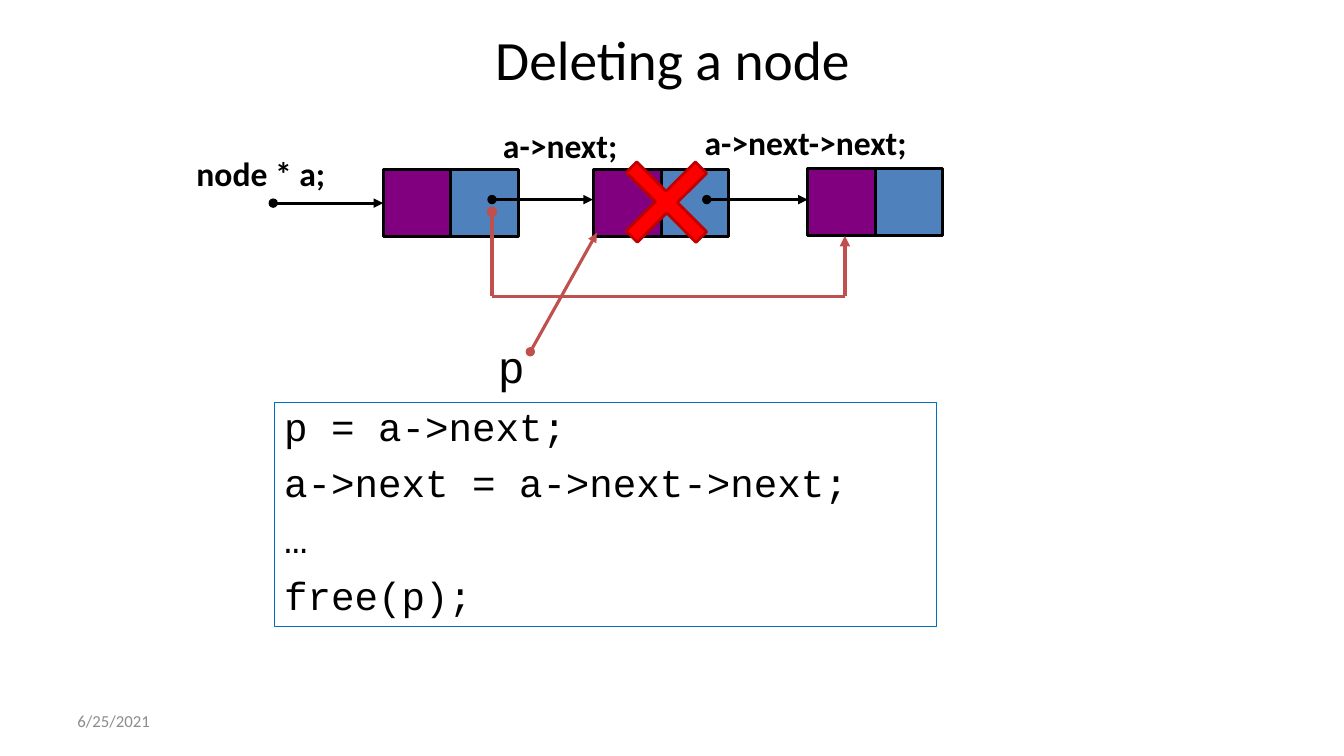
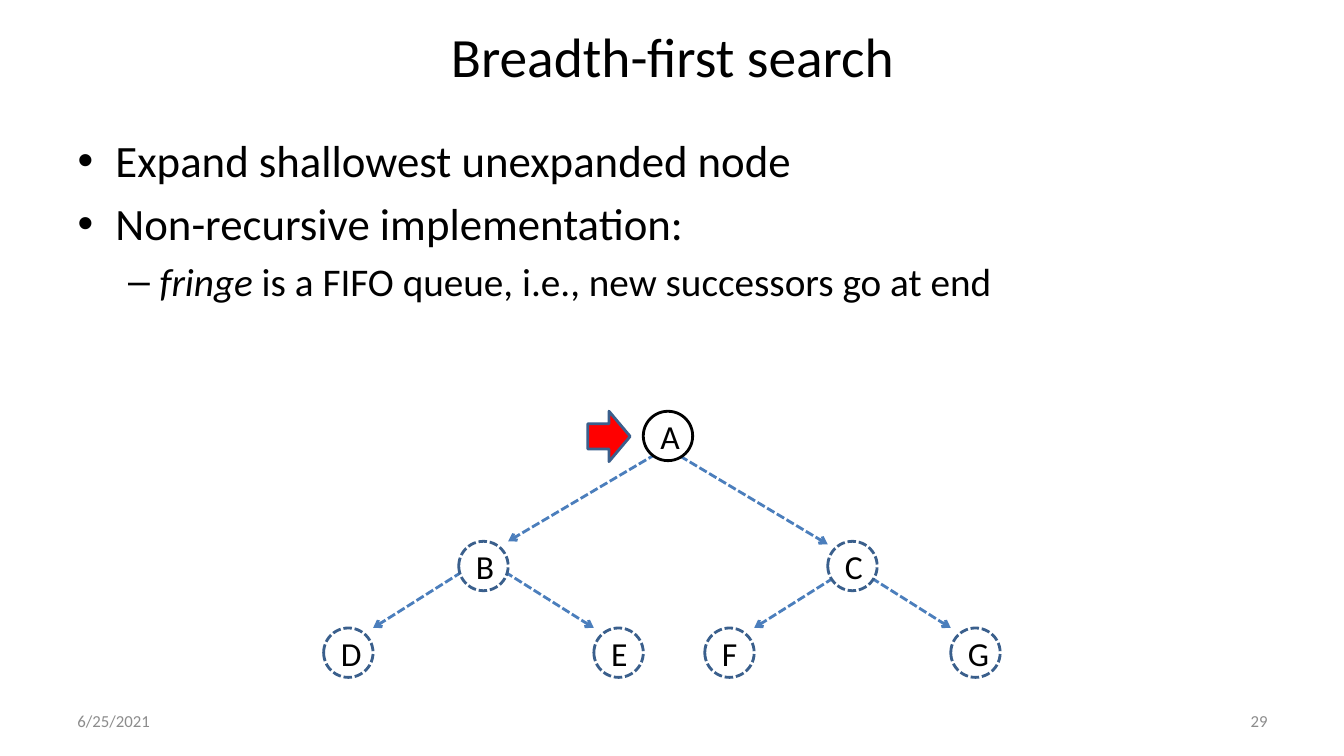
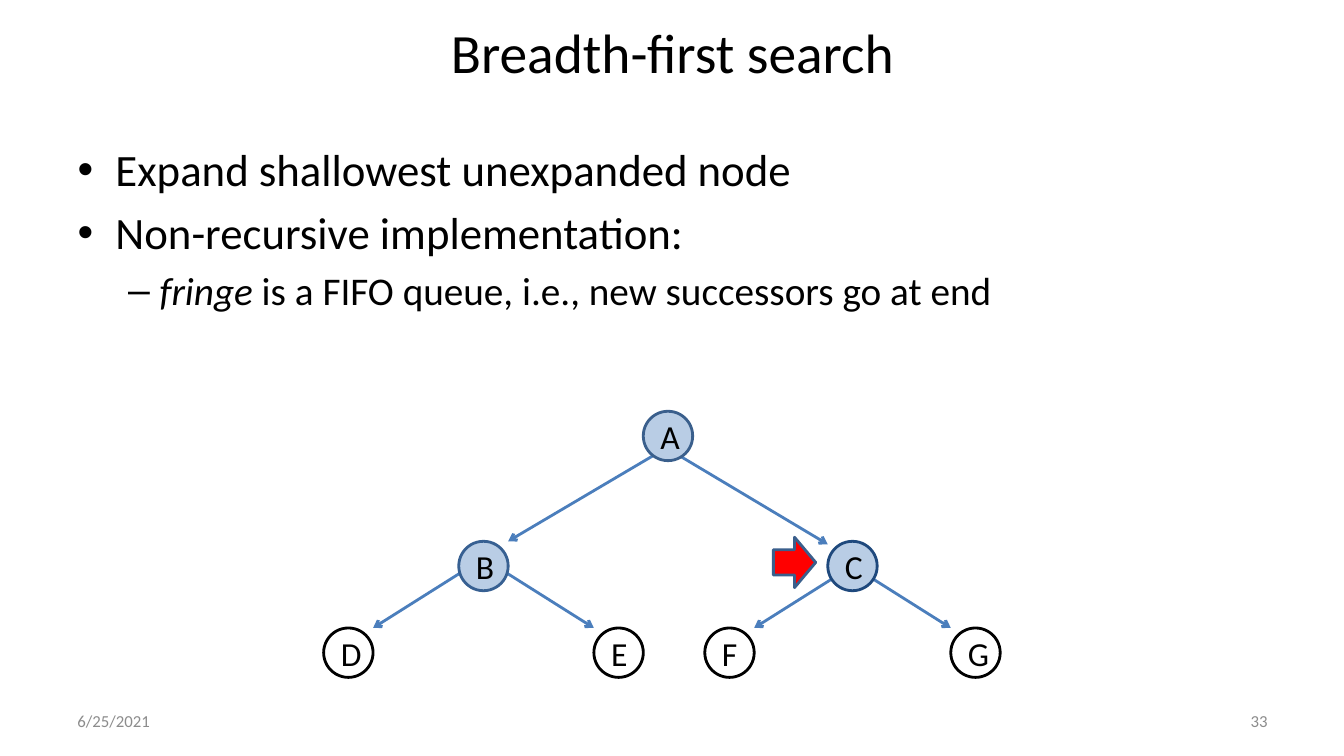
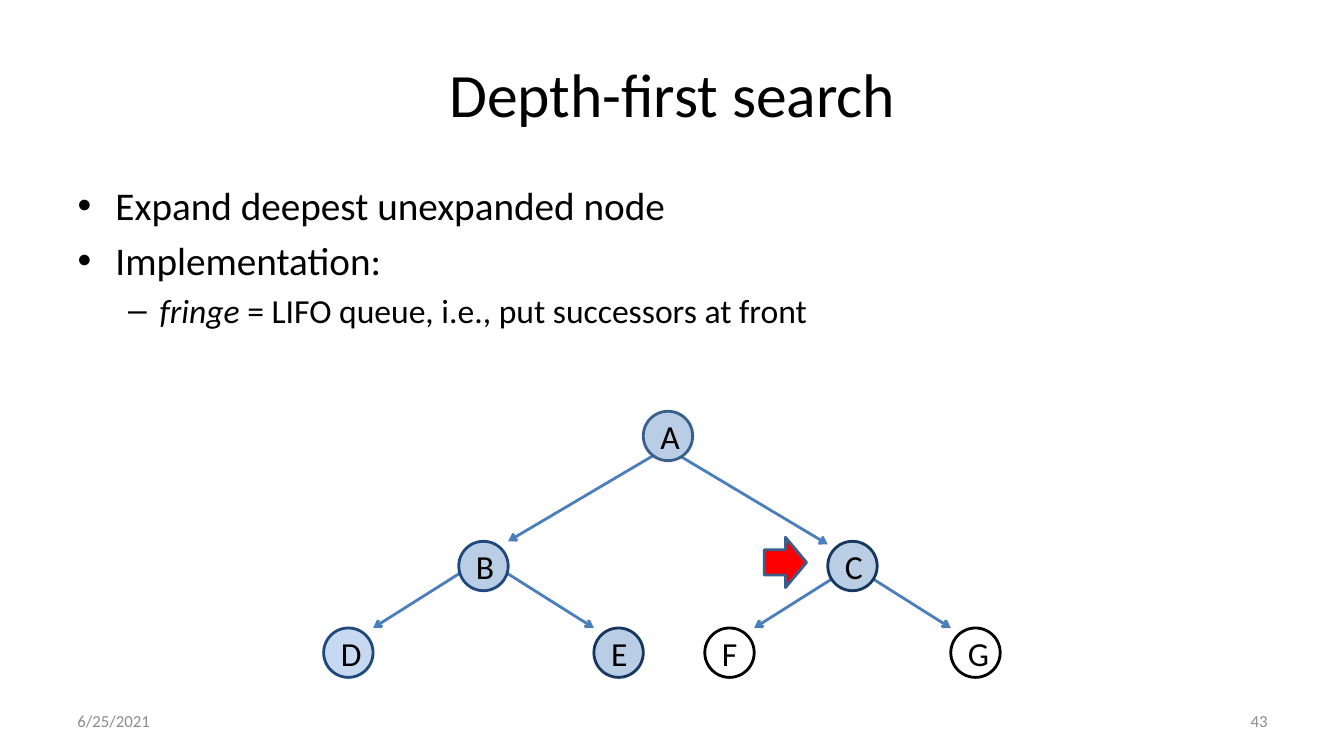
from lxml import etree
from pptx import Presentation
from pptx.dml.color import RGBColor
from pptx.enum.dml import MSO_LINE
from pptx.enum.shapes import MSO_CONNECTOR, MSO_SHAPE
from pptx.enum.text import MSO_ANCHOR, MSO_AUTO_SIZE, PP_ALIGN
from pptx.oxml.ns import qn
from pptx.util import Inches, Pt

STRAIGHT = MSO_CONNECTOR.STRAIGHT
RECTANGLE, OVAL = MSO_SHAPE.RECTANGLE, MSO_SHAPE.OVAL
CROSS, RIGHT_ARROW = MSO_SHAPE.CROSS, MSO_SHAPE.RIGHT_ARROW
LEFT, CENTER, RIGHT = PP_ALIGN.LEFT, PP_ALIGN.CENTER, PP_ALIGN.RIGHT
TOP, MIDDLE = MSO_ANCHOR.TOP, MSO_ANCHOR.MIDDLE
NO_AUTOFIT = MSO_AUTO_SIZE.NONE
DASHED = MSO_LINE.SQUARE_DOT
LEFT_SIDE = 1

COLORS = {
    "black": "000000",
    "white": "FFFFFF",
    "footer": "8C8C8C",
    "data": "800080",
    "pointer": "4F81BD",
    "new_link": "C0504D",
    "red": "FF0000",
    "dark_red": "C00000",
    "code_border": "0070C0",
    "edge": "4B7EBC",
    "outline": "3A5F8C",
    "blue_outline": "376092",
    "navy": "1F497D",
    "deep_navy": "17375E",
    "visited": "B9CDE5",
    "visited_light": "C6D9F1",
}
SANS, MONO = "Calibri", "Courier New"
DATE = "6/25/2021"
FOOTER_TOP, FOOTER_WIDTH, FOOTER_HEIGHT = 6.95, 3.11, 0.4

# Tree geometry, measured from the top left corner of the tree.
TREE_LEFT, TREE_TOP = 3.21, 4.08
NODE_SIZE = 0.49
NODE_PLACES = {
    "A": (3.17, 0), "B": (1.34, 1.29), "C": (5, 1.29),
    "D": (0, 2.15), "E": (2.68, 2.15), "F": (3.78, 2.15), "G": (6.22, 2.15),
}
# Parent, child, start offset from the parent's centre, drop of the end.
EDGES = (
    ("A", "B", -0.12, 0.18, 0), ("A", "C", 0.12, 0.2, 0.03),
    ("B", "D", -0.12, 0, 0), ("B", "E", 0.12, 0, 0),
    ("C", "F", 0, 0, 0), ("C", "G", 0, 0, 0),
)
# Fill, outline and dash of a tree node.
UNSEEN = ("white", "outline", DASHED)
FRINGE = ("white", "black", None)
VISITED = ("visited", "outline", None)
VISITED_BLUE = ("visited", "blue_outline", None)
VISITED_NAVY = ("visited", "navy", None)
VISITED_DEEP = ("visited", "deep_navy", None)
VISITED_LIGHT = ("visited_light", "navy", None)

BREADTH_BULLETS = (
    "Expand shallowest unexpanded node",
    "Non-recursive implementation:",
    ("fringe", " is a FIFO queue, i.e., new successors go at end"),
)
DEPTH_BULLETS = (
    "Expand deepest unexpanded node",
    "Implementation:",
    ("fringe ", "= LIFO queue, i.e., put successors at front"),
)
SEARCH_SLIDES = (
    {
        "title": "Breadth-first search", "title_box": (0.67, 0.13, 12, 0.83), "title_size": 39.6,
        "bullets": BREADTH_BULLETS, "body_box": (0.67, 1.27, 12.17, 2.48), "body_sizes": (32, 28),
        "states": {**dict.fromkeys("BCDEFG", UNSEEN), "A": FRINGE},
        "edge_dash": DASHED, "current": ("A", -0.55, 0), "number": "29",
    },
    {
        "title": "Breadth-first search", "title_box": (0.67, 0.13, 12, 0.75), "title_size": 39.6,
        "bullets": BREADTH_BULLETS, "body_box": (0.67, 1.36, 12.17, 2.48), "body_sizes": (32, 28),
        "states": {**dict.fromkeys("DEFG", FRINGE),
                   "A": VISITED, "B": VISITED_BLUE, "C": VISITED_NAVY},
        "edge_dash": None, "current": ("C", -0.54, -0.04), "number": "33",
    },
    {
        "title": "Depth-first search", "title_box": (0.67, 0.3, 12, 1.25), "title_size": 44,
        "bullets": DEPTH_BULLETS, "body_box": (0.67, 1.75, 12, 4.95), "body_sizes": (28, 24),
        "states": {**dict.fromkeys("FG", FRINGE), **dict.fromkeys("CE", VISITED_DEEP),
                   "A": VISITED, "B": VISITED_NAVY, "D": VISITED_LIGHT},
        "edge_dash": None, "current": ("C", -0.63, -0.04), "number": "43",
    },
)


def color(name):
    return RGBColor.from_string(COLORS[name])


def set_font(run, size, name=SANS, color_name="black", **formats):
    values = {"size": Pt(size), "name": name, **formats}
    for attribute, value in values.items():
        setattr(run.font, attribute, value)
    run.font.color.rgb = color(color_name)


def set_line(line, color_name, width, dash=None):
    line.color.rgb = color(color_name)
    line.width = Pt(width)
    if dash:
        line.dash_style = dash


def add_shape(shapes, kind, box, fill, line, width, dash=None):
    shape = shapes.add_shape(kind, *map(Inches, box))
    shape.shadow.inherit = False
    if fill:
        shape.fill.solid()
        shape.fill.fore_color.rgb = color(fill)
    else:
        shape.fill.background()
    set_line(shape.line, line, width, dash)
    return shape


def add_line(shapes, start, end, color_name, width, head=None, tail=None, dash=None):
    connector = shapes.add_connector(STRAIGHT, *map(Inches, (*start, *end)))
    set_line(connector.line, color_name, width, dash)
    properties = connector._element.spPr
    outline = properties.find(qn("a:ln"))
    for tag, kind in (("a:headEnd", head), ("a:tailEnd", tail)):
        if kind:
            etree.SubElement(outline, qn(tag), type=kind)
    etree.SubElement(properties, qn("a:effectLst"))
    return connector


def add_text(slide, text, box, size, wrap=True, align=LEFT, anchor=TOP, **formats):
    frame = slide.shapes.add_textbox(*map(Inches, box)).text_frame
    frame.word_wrap = wrap
    frame.vertical_anchor = anchor
    paragraph = frame.paragraphs[0]
    paragraph.alignment = align
    run = paragraph.add_run()
    run.text = text
    set_font(run, size, **formats)


def place(shape, box):
    shape.left, shape.top, shape.width, shape.height = map(Inches, box)


def set_title(slide, text, box, size):
    title = slide.shapes.title
    place(title, box)
    frame = title.text_frame
    frame.auto_size = NO_AUTOFIT
    frame.vertical_anchor = MIDDLE
    run = frame.paragraphs[0].add_run()
    run.text = text
    set_font(run, size)


def set_bullets(slide, bullets, box, sizes):
    """Fill the body; a pair of texts is a second-level item with an italic start."""
    body = slide.placeholders[1]
    place(body, box)
    frame = body.text_frame
    frame.auto_size = NO_AUTOFIT
    for index, item in enumerate(bullets):
        paragraph = frame.paragraphs[0] if index == 0 else frame.add_paragraph()
        nested = isinstance(item, tuple)
        paragraph.level = int(nested)
        for part, text in enumerate(item if nested else (item,)):
            run = paragraph.add_run()
            run.text = text
            set_font(run, sizes[paragraph.level], italic=nested and part == 0)


def add_footer(slide, number=None):
    entries = [(DATE, 0.67, LEFT)]
    if number:
        entries.append((number, 9.56, RIGHT))
    for text, left, align in entries:
        add_text(slide, text, (left, FOOTER_TOP, FOOTER_WIDTH, FOOTER_HEIGHT), 12,
                 align=align, anchor=MIDDLE, color_name="footer")


def add_list_node(slide, left, top, size=0.67):
    """Draw a pointer cell and a data cell; return the data cell."""
    add_shape(slide.shapes, RECTANGLE, (left + size, top, size, size), "pointer", "black", 2.25)
    return add_shape(slide.shapes, RECTANGLE, (left, top, size, size), "data", "black", 2.25)


def add_linked_list(slide, left, top):
    """Draw the list from the left end of its head arrow and the top of its nodes."""
    shapes = slide.shapes
    ends = {"head": "oval", "tail": "triangle"}
    head_cell, _, _ = [add_list_node(slide, left + x, top + y)
                       for x, y in ((1.09, 0), (3.18, 0), (5.3, -0.01))]
    middle = top + 0.67 / 2
    head_arrow = add_line(shapes, (left, middle), (left + 1.09, middle), "black", 2.25, **ends)
    head_arrow.end_connect(head_cell, LEFT_SIDE)
    for x in (2.17, 4.3):
        add_line(shapes, (left + x, top + 0.3), (left + x + 1, top + 0.3), "black", 2.25, **ends)

    for text, x, y, width in (("node * a;", -0.86, -0.21, 1.49),
                              ("a->next;", 2.18, -0.49, 1.35),
                              ("a->next->next;", 4.18, -0.52, 2.24)):
        add_text(slide, text, (left + x, top + y, width, 0.5), 24, wrap=False, bold=True)

    deletion_cross = add_shape(shapes, CROSS, (left + 3.41, top - 0.16, 0.98, 0.97),
                               "red", "dark_red", 2)
    deletion_cross.adjustments[0] = 0.424
    deletion_cross.rotation = 45.1

    add_line(shapes, (left + 2.55, top + 1.81), (left + 3.21, top + 0.63),
             "new_link", 2.25, **ends)
    add_text(slide, "p", (left + 2.13, top + 1.63, 0.44, 0.64), 32, wrap=False, name=MONO)

    bypass = [(left + x, top + y) for x, y in
              ((2.17, 0.42), (2.17, 1.26), (5.67, 1.26), (5.67, 0.66))]
    bypass_ends = ({"head": "oval"}, {}, {"tail": "triangle"})
    for start, end, arrowheads in zip(bypass, bypass[1:], bypass_ends):
        add_line(shapes, start, end, "new_link", 2.5, **arrowheads)


def add_code(slide, lines, box):
    frame = add_shape(slide.shapes, RECTANGLE, box, None, "code_border", 0.75).text_frame
    frame.vertical_anchor = TOP
    for index, line in enumerate(lines):
        paragraph = frame.paragraphs[0] if index == 0 else frame.add_paragraph()
        formats = {"alignment": LEFT, "line_spacing": 0.9, "space_before": Pt(10)}
        for attribute, value in formats.items():
            setattr(paragraph, attribute, value)
        run = paragraph.add_run()
        run.text = line
        set_font(run, 28, MONO)


def add_tree(slide, left, top, states, edge_dash):
    shapes = slide.shapes.add_group_shape().shapes
    places = {letter: (left + x, top + y) for letter, (x, y) in NODE_PLACES.items()}
    for parent, child, x_offset, y_offset, drop in EDGES:
        parent_left, parent_top = places[parent]
        child_left, child_top = places[child]
        start = (parent_left + NODE_SIZE / 2 + x_offset, parent_top + NODE_SIZE / 2 + y_offset)
        near_side = child_left + (NODE_SIZE if child_left < parent_left else 0)
        add_line(shapes, start, (near_side, child_top + drop), "edge", 2,
                 tail="arrow", dash=edge_dash)
    for letter, (x, y) in places.items():
        fill, line, dash = states[letter]
        node = add_shape(shapes, OVAL, (x, y, NODE_SIZE, NODE_SIZE), fill, line, 2, dash)
        node.text_frame.vertical_anchor = MIDDLE
        paragraph = node.text_frame.paragraphs[0]
        paragraph.alignment = CENTER
        run = paragraph.add_run()
        run.text = letter
        set_font(run, 24)


def add_current_marker(slide, left, top, letter, x_offset, y_offset):
    x, y = NODE_PLACES[letter]
    add_shape(slide.shapes, RIGHT_ARROW, (left + x + x_offset, top + y + y_offset, 0.42, 0.5),
              "red", "outline", 2)


def build_deletion_slide(presentation):
    slide = presentation.slides.add_slide(presentation.slide_layouts[5])
    set_title(slide, "Deleting a node", (0.92, 0.17, 11.5, 0.81), 39.6)
    add_linked_list(slide, 2.71, 1.68)
    add_code(slide, ("p = a->next;", "a->next = a->next->next;", "…", "free(p);"),
             (2.72, 3.99, 6.57, 2.23))
    add_footer(slide)


def build_search_slide(presentation, content):
    slide = presentation.slides.add_slide(presentation.slide_layouts[1])
    set_title(slide, content["title"], content["title_box"], content["title_size"])
    set_bullets(slide, content["bullets"], content["body_box"], content["body_sizes"])
    add_tree(slide, TREE_LEFT, TREE_TOP, content["states"], content["edge_dash"])
    add_current_marker(slide, TREE_LEFT, TREE_TOP, *content["current"])
    add_footer(slide, content["number"])


def main():
    presentation = Presentation()
    presentation.slide_width = Inches(13.33)
    presentation.slide_height = Inches(7.5)
    build_deletion_slide(presentation)
    for content in SEARCH_SLIDES:
        build_search_slide(presentation, content)
    presentation.save("out.pptx")


if __name__ == "__main__":
    main()
